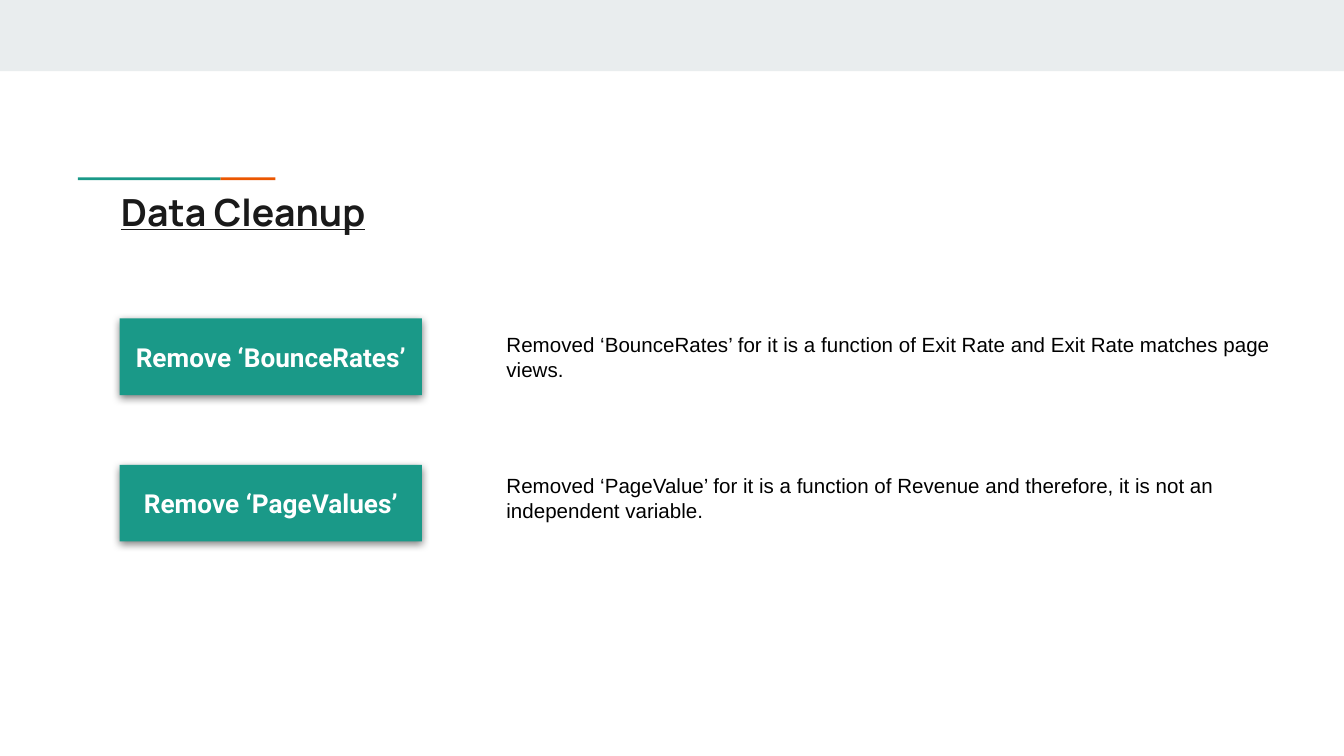
"""Build the data cleanup slide: a title and two removed columns with reasons."""
from lxml.etree import SubElement
from pptx import Presentation
from pptx.dml.color import RGBColor
from pptx.enum.shapes import MSO_SHAPE
from pptx.enum.text import MSO_ANCHOR, MSO_AUTO_SIZE, PP_ALIGN
from pptx.oxml.ns import qn
from pptx.util import Inches, Pt

WIDTH = 10
HEIGHT = WIDTH * 9 / 16
COLORS = {
    "band": "E9EDEE",
    "teal": "1A9988",
    "orange": "EB5600",
    "title": "1A1A1A",
    "body": "000000",
    "white": "FFFFFF",
}
LABEL_LEFT, REASON_LEFT = 0.89, 3.67
ROW_HEIGHT = 0.57
ROWS = [
    (2.37, 2.37, 5.94, "Remove ‘BounceRates’",
     "Removed ‘BounceRates’ for it is a function of Exit Rate and Exit Rate matches page views."),
    (3.46, 3.42, 5.9, "Remove ‘PageValues’",
     "Removed ‘PageValue’ for it is a function of Revenue and therefore, it is not an independent variable."),
]


def color(name):
    return RGBColor.from_string(COLORS[name])


def write(box, text, *, size, font, ink, bold=False, underline=False,
          align=PP_ALIGN.LEFT, anchor=MSO_ANCHOR.TOP):
    frame = box.text_frame
    frame.word_wrap = True
    frame.auto_size = MSO_AUTO_SIZE.NONE
    frame.vertical_anchor = anchor
    frame.margin_left = frame.margin_right = Inches(0.1)
    frame.margin_top = frame.margin_bottom = Inches(0.1)
    para = frame.paragraphs[0]
    para.alignment = align
    span = para.add_run()
    span.text = text
    span.font.name = font
    span.font.size = Pt(size)
    span.font.bold = bold
    span.font.underline = underline
    span.font.color.rgb = color(ink)


def add_bar(page, left, top, width, height, fill):
    bar = page.shapes.add_shape(MSO_SHAPE.RECTANGLE, Inches(left), Inches(top),
                                Inches(width), Inches(height))
    bar.shadow.inherit = False
    bar.fill.solid()
    bar.fill.fore_color.rgb = color(fill)
    bar.line.fill.background()
    return bar


def add_soft_shadow(box):
    effects = box._element.spPr.find(qn("a:effectLst"))
    shadow = SubElement(effects, qn("a:outerShdw"), blurRad=str(Pt(4.5)),
                        dist=str(Pt(1.5)), dir="5400000", algn="bl", rotWithShape="0")
    tint = SubElement(shadow, qn("a:srgbClr"), val=COLORS["body"])
    SubElement(tint, qn("a:alpha"), val="50000")


def add_label(page, top, text):
    box = add_bar(page, LABEL_LEFT, top, 2.25, ROW_HEIGHT, "teal")
    add_soft_shadow(box)
    write(box, text, size=14, font="Roboto", ink="white", bold=True,
          align=PP_ALIGN.CENTER, anchor=MSO_ANCHOR.MIDDLE)


def add_reason(page, top, width, text):
    box = page.shapes.add_textbox(Inches(REASON_LEFT), Inches(top),
                                  Inches(width), Inches(ROW_HEIGHT))
    write(box, text, size=11, font="Arial", ink="body")


def place_title(page, text):
    title = page.shapes.title
    title.left, title.top = Inches(0.8), Inches(1.31)
    title.width, title.height = Inches(4.56), Inches(0.54)
    write(title, text, size=20, font="Manrope", ink="title", bold=True, underline=True)


def main():
    deck = Presentation()
    deck.slide_width, deck.slide_height = Inches(WIDTH), Inches(HEIGHT)
    page = deck.slides.add_slide(deck.slide_layouts[5])
    add_bar(page, 0, 0, WIDTH, 0.53, "band")
    add_bar(page, 1.64, 1.32, 0.41, 0.02, "orange")
    add_bar(page, 0.58, 1.32, 1.06, 0.02, "teal")
    place_title(page, "Data Cleanup")
    for label_top, reason_top, reason_width, label, reason in ROWS:
        add_label(page, label_top, label)
        add_reason(page, reason_top, reason_width, reason)
    deck.save("out.pptx")


if __name__ == "__main__":
    main()
